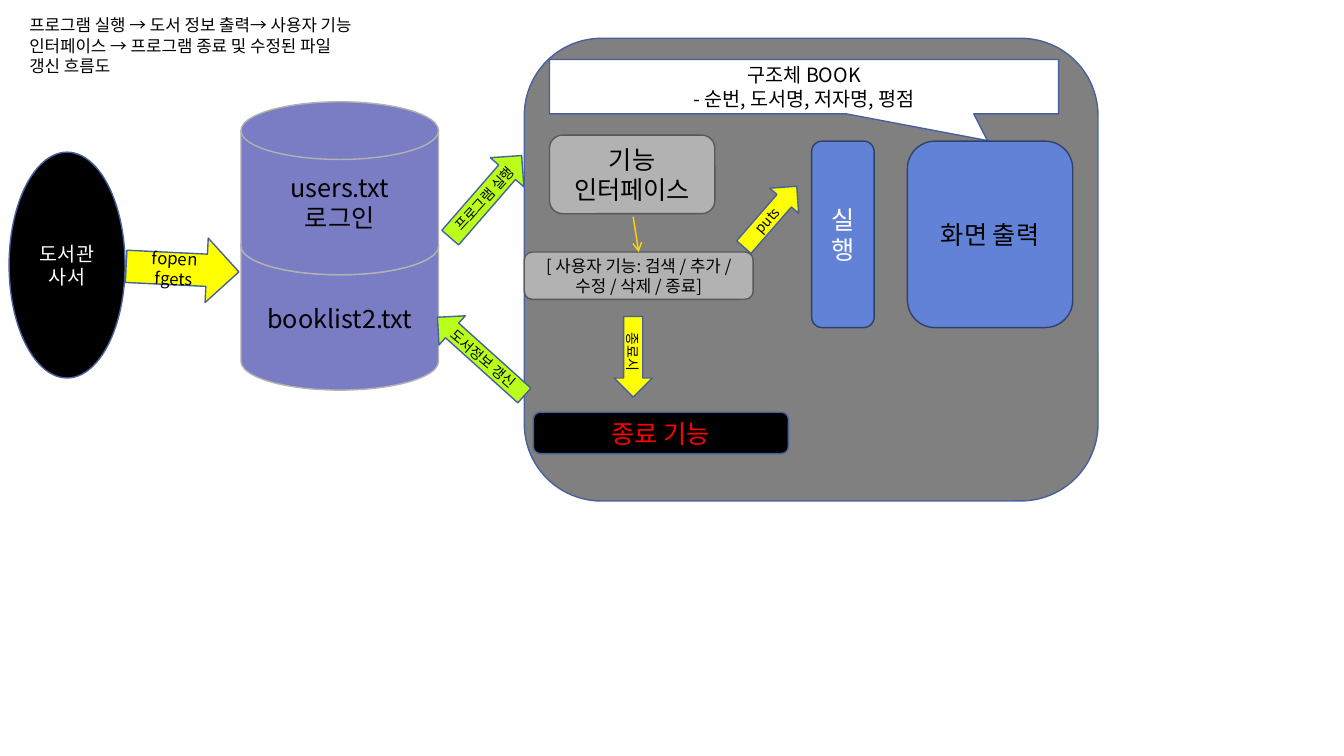
from dataclasses import dataclass

from lxml import etree
from pptx import Presentation
from pptx.dml.color import RGBColor
from pptx.enum.shapes import MSO_CONNECTOR, MSO_SHAPE
from pptx.enum.text import MSO_ANCHOR, MSO_AUTO_SIZE, PP_ALIGN
from pptx.oxml.ns import qn
from pptx.util import Inches, Pt

ELLIPSE = MSO_SHAPE.OVAL
ROUNDED = MSO_SHAPE.ROUNDED_RECTANGLE
PROCESS = MSO_SHAPE.FLOWCHART_ALTERNATE_PROCESS
DISK = MSO_SHAPE.FLOWCHART_MAGNETIC_DISK
ARROW = MSO_SHAPE.RIGHT_ARROW
CALLOUT = MSO_SHAPE.RECTANGULAR_CALLOUT
STRAIGHT = MSO_CONNECTOR.STRAIGHT
TOP, MIDDLE = MSO_ANCHOR.TOP, MSO_ANCHOR.MIDDLE
LEFT, CENTER = PP_ALIGN.LEFT, PP_ALIGN.CENTER
NO_FIT = MSO_AUTO_SIZE.NONE
TITLE_ONLY = 5
TOP_SIDE = 0
CELL = Inches(0.1)


@dataclass(frozen=True)
class Theme:
    font: str = "Noto Sans CJK KR"
    black: str = "000000"
    white: str = "FFFFFF"
    red: str = "FF0000"
    panel: str = "808080"
    disk: str = "7A7CC4"
    gray: str = "B2B2B2"
    gray_edge: str = "585858"
    blue: str = "6182D6"
    blue_edge: str = "30416A"
    edge: str = "48609E"
    yellow: str = "FFFF00"
    lime: str = "BAFF1A"
    gold: str = "FFD700"
    large: int = 18
    medium: int = 14
    small: int = 12
    tiny: int = 10
    outline: int = 1


THEME = Theme()


@dataclass(frozen=True)
class Box:
    col: float
    row: float
    cols: float
    rows: float

    def inner(self, col, row, cols, rows):
        return Box(self.col + col, self.row + row, cols, rows)

    def emu(self):
        return [round(cells * CELL) for cells in (self.col, self.row, self.cols, self.rows)]


def write(frame, wording, size, color=THEME.black, align=CENTER, anchor=MIDDLE):
    frame.text = wording
    frame.word_wrap = True
    frame.auto_size = NO_FIT
    frame.vertical_anchor = anchor
    for paragraph in frame.paragraphs:
        paragraph.alignment = align
        paragraph.font.name = THEME.font
        paragraph.font.size = Pt(size)
        paragraph.font.color.rgb = RGBColor.from_string(color)
        defaults = paragraph._p.pPr.find(qn("a:defRPr"))
        etree.SubElement(defaults, qn("a:ea"), typeface=THEME.font)


def add_block(slide, box, kind, fill, edge=THEME.edge, wording="", size=THEME.large,
              color=THEME.black, rotation=0):
    block = slide.shapes.add_shape(kind, *box.emu())
    block.shadow.inherit = False
    block.rotation = rotation
    block.fill.solid()
    block.fill.fore_color.rgb = RGBColor.from_string(fill)
    block.line.color.rgb = RGBColor.from_string(edge)
    block.line.width = Pt(THEME.outline)
    if wording:
        write(block.text_frame, wording, size, color)
    return block


def add_label(slide, box, wording, rotation):
    label = slide.shapes.add_textbox(*box.emu())
    label.rotation = rotation
    write(label.text_frame, wording, THEME.tiny, align=LEFT, anchor=TOP)


def add_pointer(slide, box, target):
    left, top, width, height = box.emu()
    pointer = slide.shapes.add_connector(STRAIGHT, left, top, left + width, top + height)
    pointer.end_connect(target, TOP_SIDE)
    pointer.line.color.rgb = RGBColor.from_string(THEME.gold)
    pointer.line.width = Pt(THEME.outline)
    properties = pointer._element.spPr
    etree.SubElement(properties.find(qn("a:ln")), qn("a:tailEnd"), type="arrow")
    etree.SubElement(properties, qn("a:effectLst"))


def add_caption(slide, box):
    caption = slide.shapes.title
    caption.left, caption.top, caption.width, caption.height = box.emu()
    write(caption.text_frame, "프로그램 실행 → 도서 정보 출력→ 사용자 기능 인터페이스 → "
          "프로그램 종료 및 수정된 파일 갱신 흐름도", THEME.small, align=LEFT, anchor=TOP)


def add_librarian(slide, box):
    add_block(slide, box.inner(11.6, 8.4, 11.2, 6.4), ARROW, THEME.yellow,
              wording="fopen\nfgets", size=THEME.small, rotation=2.8)
    add_block(slide, box.inner(0, 0, 11.5, box.rows), ELLIPSE, THEME.black,
              wording="도서관 사서", size=THEME.medium, color=THEME.white)


def add_files(slide, box):
    disk_rows = box.rows * 0.6
    for wording, row in (("booklist2.txt", box.rows - disk_rows), ("users.txt\n로그인", 0)):
        add_block(slide, box.inner(0, row, box.cols, disk_rows), DISK, THEME.disk,
                  THEME.gray, wording)


def add_program(slide, box):
    add_block(slide, box, ROUNDED, THEME.panel)
    structure = add_block(slide, box.inner(2.5, 2.1, 50.5, 5.4), CALLOUT, THEME.white,
                          wording="구조체 BOOK\n- 순번, 도서명, 저자명, 평점", size=THEME.medium)
    structure.adjustments[0] = 0.36
    structure.adjustments[1] = 0.99
    functions = add_block(slide, box.inner(0, 21.2, 22.7, 4.7), ROUNDED, THEME.gray,
                          THEME.gray_edge, "[ 사용자 기능: 검색 / 추가 / 수정 / 삭제 / 종료]",
                          THEME.small)
    add_block(slide, box.inner(0.9, 37.1, 25.3, 4.1), ROUNDED, THEME.black,
              wording="종료 기능", color=THEME.red)
    add_block(slide, box.inner(2.5, 9.6, 16.4, 7.8), PROCESS, THEME.gray, THEME.gray_edge,
              "기능 인터페이스")
    for wording, col, cols, color in (("실행", 28.5, 6.2, THEME.white),
                                      ("화면 출력", 38, 16.4, THEME.black)):
        add_block(slide, box.inner(col, 10.2, cols, 18.5), PROCESS, THEME.blue,
                  THEME.blue_edge, wording, color=color)
    for wording, col, row, rotation in (("puts", 20.4, 15.8, 311), ("종료시", 6.8, 29.7, 90)):
        add_block(slide, box.inner(col, row, 8, 3.8), ARROW, THEME.yellow,
                  wording=wording, size=THEME.tiny, rotation=rotation)
    add_pointer(slide, box.inner(10.8, 17.7, 0.5, 3.5), functions)


def add_exchange(slide, box):
    add_block(slide, box.inner(0.9, 0, 10.8, 4.4), ARROW, THEME.lime, rotation=311)
    add_block(slide, box.inner(0, 16.1, 11.6, 3.9), ARROW, THEME.lime, rotation=222)
    add_label(slide, box.inner(0.9, 17.5, 11.6, 2.6), "도서정보 갱신", 40.3)
    add_label(slide, box.inner(0.9, 0.5, 11.5, 2.6), "프로그램 실행", 312.4)


def main():
    presentation = Presentation()
    presentation.slide_width = Inches(13.33)
    presentation.slide_height = Inches(7.5)
    slide = presentation.slides.add_slide(presentation.slide_layouts[TITLE_ONLY])
    add_caption(slide, Box(1.9, 1, 35.3, 7))
    add_librarian(slide, Box(0.9, 15.1, 22.8, 22.4))
    add_files(slide, Box(23.9, 10.1, 19.6, 28.6))
    add_program(slide, Box(52, 3.8, 56.9, 45.9))
    add_exchange(slide, Box(41.9, 17.3, 11.7, 20.1))
    presentation.save("out.pptx")


if __name__ == "__main__":
    main()
